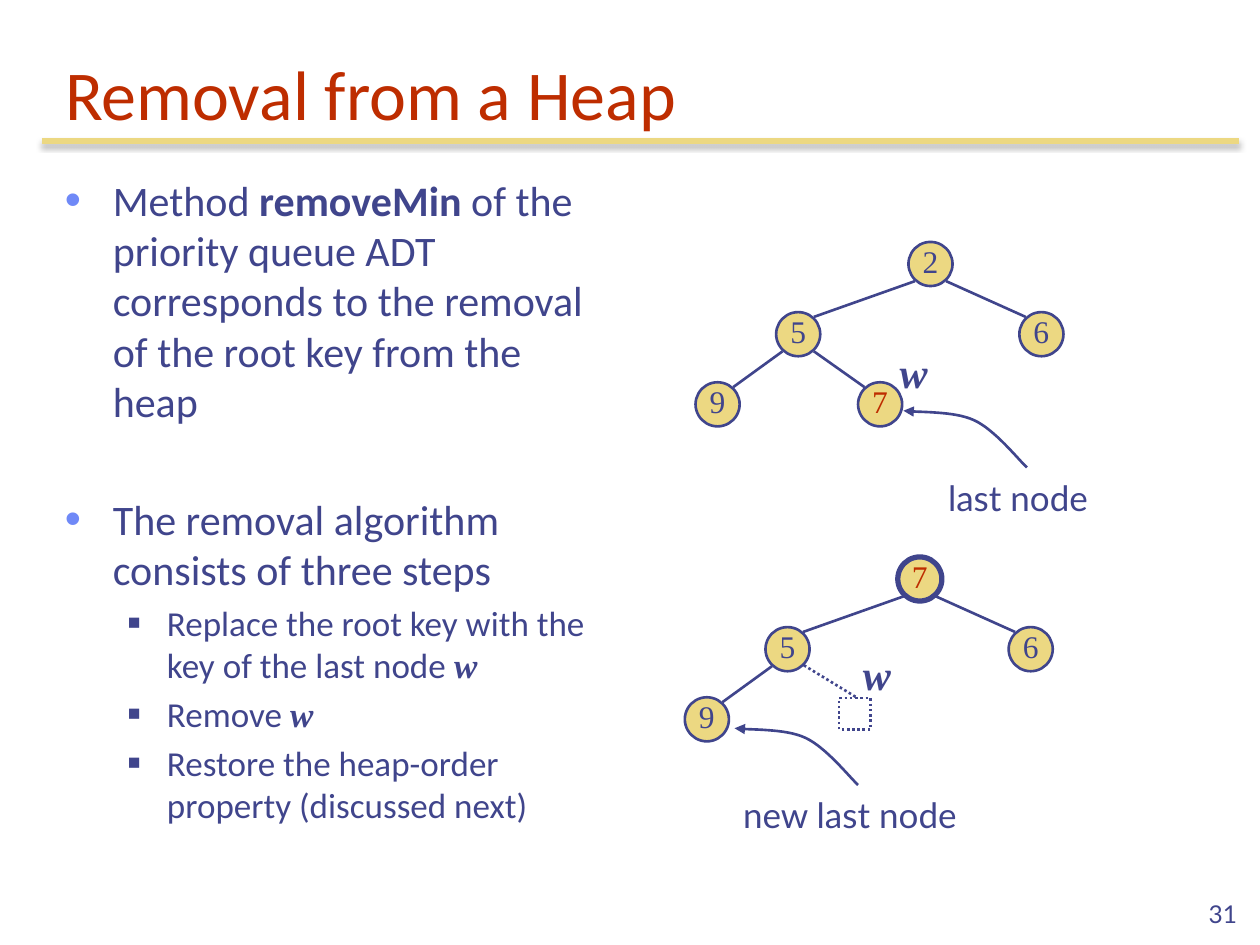
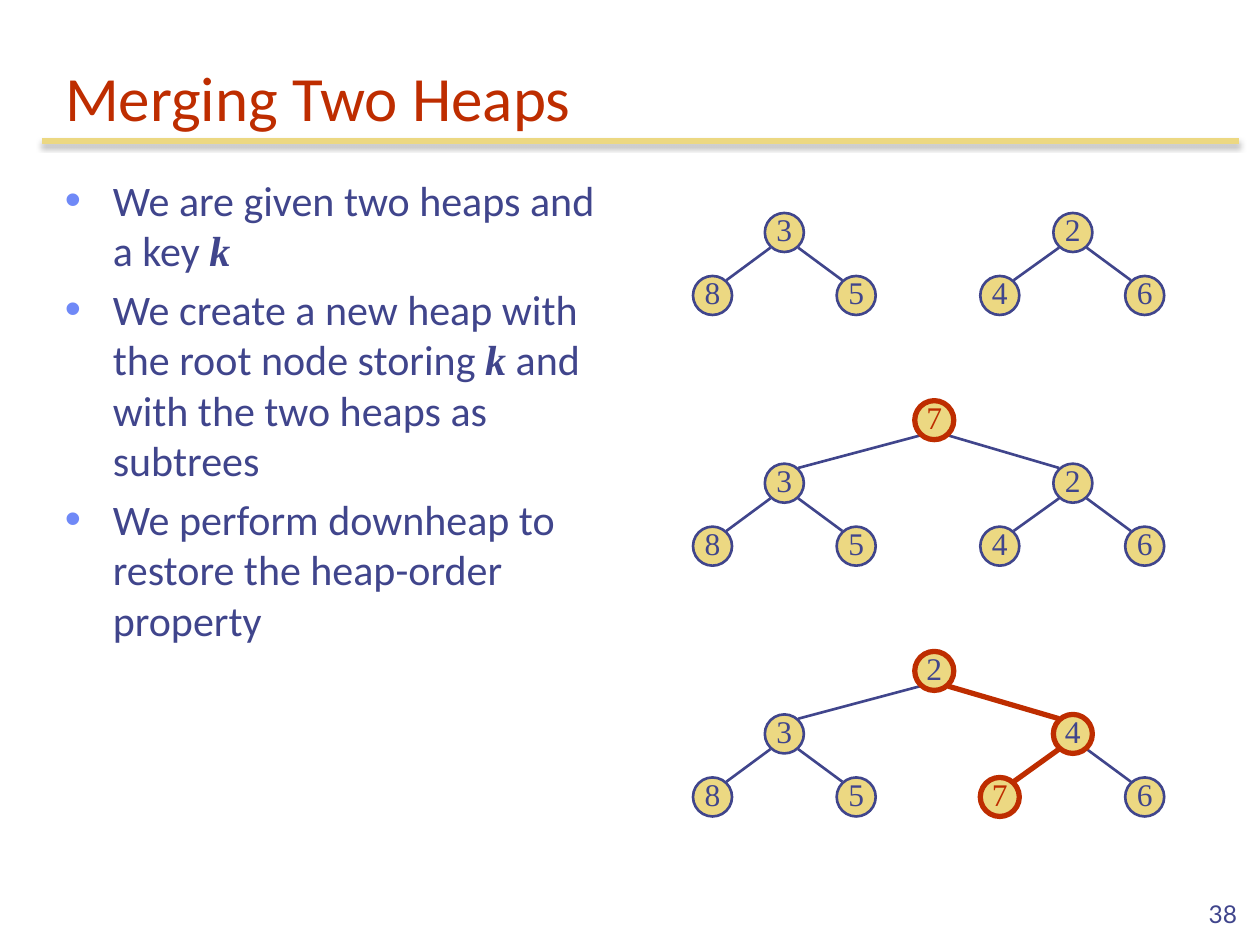
from lxml.etree import SubElement
from pptx import Presentation
from pptx.dml.color import RGBColor
from pptx.enum.dml import MSO_LINE_DASH_STYLE as Dash
from pptx.enum.shapes import MSO_CONNECTOR as Connector, MSO_SHAPE as Preset
from pptx.enum.text import MSO_ANCHOR as Anchor, PP_ALIGN as Align
from pptx.oxml.ns import qn
from pptx.util import Inches, Pt

INDIGO = RGBColor(0x40, 0x45, 0x8C)
BRICK = RGBColor(0xBE, 0x2D, 0x00)
GOLD = RGBColor(0xEC, 0xD8, 0x82)
PERIWINKLE = RGBColor(0x6F, 0x89, 0xF7)
WHITE = RGBColor(0xFF, 0xFF, 0xFF)

COLUMNS, ROWS = 100, 75
THIN, THICK = Pt(1.5), Pt(3)
EDGE_REACH = (0.71, 0.78)
MOVED_KEY = "7"
CURVE_STEPS = 16

BODY = {"name": "Calibri", "color": INDIGO}
LABEL = {"name": "Lato", "size": Pt(20), "color": INDIGO}
NUMBER = {**LABEL, "size": Pt(14)}
KEY = {"name": "Times New Roman", "size": Pt(18), "color": INDIGO}
VARIABLE = {"name": "Times New Roman", "bold": True, "italic": True}
VARIABLE_LABEL = {**VARIABLE, "size": Pt(24), "color": INDIGO}
STRONG = {"bold": True}

LEVELS = [
    {"size": 24, "indent": 0.38, "hang": 0.38, "bullet": "•", "color": PERIWINKLE, "scale": 110},
    {"size": 20, "indent": 0.81, "hang": 0.31, "bullet": "■", "color": INDIGO, "scale": 60},
]


def apply(target, values):
    for name, value in values.items():
        if name == "color":
            target.color.rgb = value
        else:
            setattr(target, name, value)


def add_xml(parent, tag, **attributes):
    return SubElement(parent, qn(tag), {name: str(value) for name, value in attributes.items()})


class Deck:
    def __init__(self):
        self.presentation = Presentation()
        self.presentation.slide_width = Inches(10)
        self.presentation.slide_height = Inches(7.5)
        self.slide = None

    def x(self, column):
        return round(self.presentation.slide_width * column / COLUMNS)

    def y(self, row):
        return round(self.presentation.slide_height * row / ROWS)

    def box(self, left, top, width, height):
        return self.x(left), self.y(top), self.x(width), self.y(height)

    def start(self, title, size, number):
        self.slide = self.presentation.slides.add_slide(self.presentation.slide_layouts[5])
        rule = self.line((3.33, 11.2), (98.33, 11.2), GOLD, THICK)
        effects = rule._element.spPr.find(qn("a:effectLst"))
        shadow = add_xml(effects, "a:outerShdw", blurRad=Pt(3.1), dist=Pt(1.8),
                         dir=5400000, rotWithShape=0)
        add_xml(add_xml(shadow, "a:srgbClr", val="000000"), "a:alpha", val=35000)
        heading = self.slide.shapes.title
        places = self.box(4.17, 3.33, 93.33, 7.83)
        apply(heading, dict(zip(("left", "top", "width", "height"), places)))
        self.put_text(heading, title, {**BODY, "size": Pt(size), "color": BRICK}, Align.LEFT,
                      {"vertical_anchor": Anchor.BOTTOM, "word_wrap": True})
        self.text(number, (78.33, 69.17, 20.83, 5), NUMBER, Align.RIGHT,
                  {"vertical_anchor": Anchor.BOTTOM, "word_wrap": True})

    def put_text(self, shape, text, font, align, frame):
        apply(shape.text_frame, frame)
        paragraph = shape.text_frame.paragraphs[0]
        paragraph.alignment = align
        self.add_run(paragraph, text, font)

    def add_run(self, paragraph, text, font):
        run = paragraph.add_run()
        run.text = text
        apply(run.font, font)

    def text(self, text, place, font, align=Align.CENTER, frame={"word_wrap": False}):
        shape = self.slide.shapes.add_textbox(*self.box(*place))
        self.put_text(shape, text, font, align, frame)

    def bullets(self, items):
        frame = self.slide.shapes.add_textbox(*self.box(4.17, 13.33, 44.17, 57.6)).text_frame
        frame.word_wrap = True
        for index, (level, gap, runs) in enumerate(items):
            paragraph = frame.paragraphs[0] if index == 0 else frame.add_paragraph()
            look = LEVELS[level]
            apply(paragraph, {"level": level, "space_before": Pt(look["size"] * 0.2 + gap)})
            properties = paragraph._p.get_or_add_pPr()
            properties.set("marL", str(Inches(look["indent"])))
            properties.set("indent", str(-Inches(look["hang"])))
            add_xml(add_xml(properties, "a:buClr"), "a:srgbClr", val=look["color"])
            add_xml(properties, "a:buSzPct", val=look["scale"] * 1000)
            add_xml(properties, "a:buFont", typeface="Arial")
            add_xml(properties, "a:buChar", char=look["bullet"])
            for text, extra in runs:
                self.add_run(paragraph, text, {**BODY, "size": Pt(look["size"]), **extra})

    def outline(self, shape, color=INDIGO, width=THIN, dash=None):
        apply(shape.line, {"color": color, "width": width, "dash_style": dash})

    def line(self, start, end, color=INDIGO, width=THIN, dash=None):
        connector = self.slide.shapes.add_connector(
            Connector.STRAIGHT, self.x(start[0]), self.y(start[1]), self.x(end[0]), self.y(end[1]))
        self.outline(connector, color, width, dash)
        add_xml(connector._element.spPr, "a:effectLst")
        return connector

    def shape(self, preset, place, fill, color=INDIGO, width=THIN, dash=None):
        shape = self.slide.shapes.add_shape(preset, *self.box(*place))
        shape.shadow.inherit = False
        shape.fill.solid()
        shape.fill.fore_color.rgb = fill
        self.outline(shape, color, width, dash)
        return shape

    def node(self, key, center, size, color, width):
        place = (center[0] - size / 2, center[1] - size / 2, size, size)
        shape = self.shape(Preset.OVAL, place, GOLD, color, width)
        font = {**KEY, "color": BRICK if key == MOVED_KEY else INDIGO}
        self.put_text(shape, key, font, Align.CENTER, {
            "margin_left": 0, "margin_right": 0, "margin_top": 0, "margin_bottom": Inches(0.05),
            "vertical_anchor": Anchor.MIDDLE, "word_wrap": False})

    def heap(self, keys, centers, root_row, level_rows, size, accents=(), accent_color=BRICK):
        points = [(column, root_row + level_rows * ((index + 1).bit_length() - 1))
                  for index, column in enumerate(centers)]
        accent, plain = (accent_color, THICK), (INDIGO, THIN)
        reach_x, reach_y = (size / 2 * share for share in EDGE_REACH)
        for child in range(1, len(keys)):
            parent = (child - 1) // 2
            if keys[parent] and keys[child]:
                side = 1 if points[child][0] > points[parent][0] else -1
                start = (points[parent][0] + side * reach_x, points[parent][1] + reach_y)
                end = (points[child][0] - side * reach_x, points[child][1] - reach_y)
                self.line(start, end, *(accent if {parent, child} <= set(accents) else plain))
        for index, key in enumerate(keys):
            if key:
                self.node(key, points[index], size, *(accent if index in accents else plain))

    def curved_arrow(self, left, top):
        curves = [((9.8, 4.5), (9.1, 3.85), (7.25, 1.5), (5.6, 0.75)),
                  ((5.6, 0.75), (4, 0), (1.15, 0.15), (0, 0))]
        points = []
        for a, b, c, d in curves:
            for step in range(1, CURVE_STEPS + 1):
                t = step / CURVE_STEPS
                weights = ((1 - t) ** 3, 3 * t * (1 - t) ** 2, 3 * t * t * (1 - t), t ** 3)
                column, row = (sum(w * p[axis] for w, p in zip(weights, (a, b, c, d)))
                               for axis in (0, 1))
                points.append((self.x(left + column), self.y(top + row)))
        builder = self.slide.shapes.build_freeform(self.x(left + 9.8), self.y(top + 4.5))
        builder.add_line_segments(points, close=False)
        arrow = builder.convert_to_shape()
        arrow.shadow.inherit = False
        arrow.fill.background()
        self.outline(arrow)
        add_xml(arrow._element.spPr.find(qn("a:ln")), "a:tailEnd", type="triangle")


def removal_slide(deck):
    deck.start("Removal from a Heap", 40, "31")
    deck.bullets([
        (0, 0, [("Method ", {}), ("removeMin", STRONG),
                (" of the priority queue ADT corresponds to the removal of the root key "
                 "from the heap", {})]),
        (0, 33.6, [("The removal algorithm consists of three steps", {})]),
        (1, 0, [("Replace the root key with the key of the last node ", {}), ("w", VARIABLE)]),
        (1, 0, [("Remove ", {}), ("w", VARIABLE)]),
        (1, 0, [("Restore the heap-order property (discussed next)", {})]),
    ])
    centers = [73.85, 63.35, 82.65, 56.95, 69.85]
    deck.heap(["2", "5", "6", "9", "7"], centers, 20.95, 5.57, 3.5)
    deck.curved_arrow(71.7, 32.6)
    deck.text("last node", (74.2, 37.3, 13.2, 4.3), LABEL)
    deck.text("w", (70.4, 27, 4.2, 5), VARIABLE_LABEL)

    shifted = [column - 0.85 for column in centers]
    deck.heap(["7", "5", "6", "9", None], shifted, 45.95, 5.57, 3.5, {0}, INDIGO)
    deck.line((67.9, 55.3), (63.8, 52.8), dash=Dash.ROUND_DOT)
    deck.text("w", (67.5, 51, 4.2, 5), VARIABLE_LABEL)
    deck.shape(Preset.RECTANGLE, (66.6, 55.4, 2.5, 2.5), WHITE, dash=Dash.ROUND_DOT)
    deck.curved_arrow(58.3, 57.8)
    deck.text("new last node", (57.9, 62.5, 19.1, 4.3), LABEL)


def merging_slide(deck):
    deck.start("Merging Two Heaps", 36, "38")
    deck.bullets([
        (0, 0, [("We are given two heaps and a key ", {}), ("k", VARIABLE)]),
        (0, 0, [("We create a new heap with the root node storing ", {}), ("k", VARIABLE),
                (" and with the two heaps as subtrees", {})]),
        (0, 0, [("We perform downheap to restore the heap-order property", {})]),
    ])
    centers = [74.15, 62.25, 85.15, 56.55, 67.95, 79.35, 90.85]
    stages = [
        ([None, "3", "2", "8", "5", "4", "6"], ()),
        (["7", "3", "2", "8", "5", "4", "6"], {0}),
        (["2", "3", "4", "8", "5", "7", "6"], {0, 2, 5}),
    ]
    for stage, (keys, accents) in enumerate(stages):
        deck.heap(keys, centers, 13.45 + 19.9 * stage, 5, 3.1, accents)


def main():
    deck = Deck()
    removal_slide(deck)
    merging_slide(deck)
    deck.presentation.save("out.pptx")


if __name__ == "__main__":
    main()
